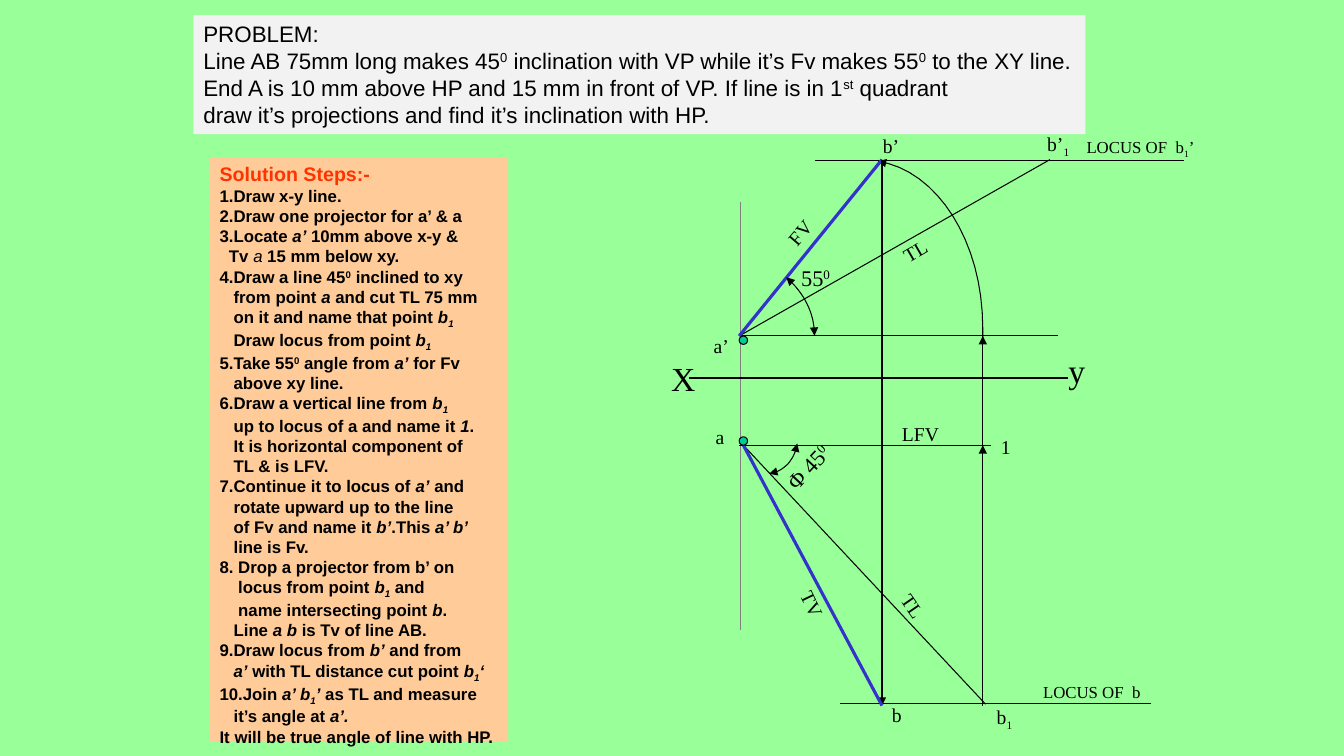
"""Build the slide on projections of line AB with its solution steps."""
from lxml import etree
from pptx import Presentation, util as u
from pptx.dml import color
from pptx.enum import shapes, text
from pptx.oxml import ns


def paint(hue):
    return color.RGBColor.from_string(hue)


def write(frame, line, size=14, font="Times New Roman", hue="000000", bold=False, indent=0):
    """Add a paragraph; ^ raises, _ lowers, * slants and ~ lightens what it encloses."""
    frame.word_wrap = False
    frame.vertical_anchor = text.MSO_ANCHOR.TOP
    paragraph = frame.add_paragraph() if frame.text else frame.paragraphs[0]
    paragraph.alignment = text.PP_ALIGN.LEFT
    if indent:
        paragraph._p.get_or_add_pPr().set("marL", str(u.Pt(indent)))
    for mark in "^_*~":
        line = line.replace(mark, f"|{mark}|")
    active = set()
    for piece in filter(None, line.split("|")):
        if piece in "^_*~":
            active ^= {piece}
            continue
        run = paragraph.add_run()
        run.text = piece
        run.font.name, run.font.size = font, u.Pt(size)
        run.font.color.rgb = paint(hue)
        run.font.bold = bold and "~" not in active
        run.font.italic = "*" in active
        for mark, baseline in (("^", "30000"), ("_", "-25000")):
            if mark in active:
                run._r.get_or_add_rPr().set("baseline", baseline)


deck = Presentation()
deck.slide_width, deck.slide_height = u.Pt(960), u.Pt(540)
slide = deck.slides.add_slide(deck.slide_layouts[6])
slide.background.fill.solid()
slide.background.fill.fore_color.rgb = paint("99FF99")

black, blue, grey = "000000", "3333CC", "808080"
a_front, a_top = (528, 240), (531, 318)
b_front, b_top = (630, 114), (630, 504)
locus_front, locus_top = 114.5, 502.6
lfv_x = 702

strokes = [
    ([(529.2, 144), (529.2, 450)], grey, 0.75, ""),
    ([(492, 270), (763, 270)], black, 0.75, ""),
    ([a_front, (756, 240)], black, 0.75, ""),
    ([(528, 318), (708, 318)], black, 0.75, ""),
    ([(530, 317), (704, 503)], black, 0.75, ""),
    ([(569.5, 316.8), (568.8, 321.8), (566.6, 326.9), (563, 331.2),
      (559.4, 334.8), (555.1, 337.7), (549.4, 338.4)], black, 0.75, "head tail"),
    ([a_front, (750, 114)], black, 0.75, ""),
    ([(lfv_x, 318), (lfv_x, 504)], black, 0.75, "head"),
    ([(582, locus_front), (846, locus_front)], black, 0.75, ""),
    ([(600, locus_top), (822, locus_top)], black, 0.75, ""),
    ([(lfv_x, 330), (lfv_x, 240)], black, 0.75, "tail"),
    ([(627.1, 115.2), (669.6, 121.7), (lfv_x, 172.8), (lfv_x, 234),
      (lfv_x, 236.9), (lfv_x, 239.8), (lfv_x, 241.9)], black, 0.75, "head"),
    ([a_front, b_front], blue, 2.25, ""),
    ([(561.6, 198), (574.6, 209.5), (581.8, 223.9), (581.8, 239.8)], black, 0.75, "head tail"),
    ([b_front, b_top], black, 0.75, "tail"),
    ([b_top, a_top], blue, 2.25, ""),
]
for points, hue, width, arrows in strokes:
    if len(points) == 2:
        (x1, y1), (x2, y2) = points
        stroke = slide.shapes.add_connector(
            shapes.MSO_CONNECTOR.STRAIGHT, u.Pt(x1), u.Pt(y1), u.Pt(x2), u.Pt(y2))
    else:
        curve = []
        for start in range(0, len(points) - 1, 3):
            for step in range(1, 17):
                t = step / 16
                weights = ((1 - t) ** 3, 3 * t * (1 - t) ** 2, 3 * t * t * (1 - t), t ** 3)
                bend = points[start:start + 4]
                curve.append([u.Pt(sum(w * p[axis] for w, p in zip(weights, bend)))
                              for axis in (0, 1)])
        builder = slide.shapes.build_freeform(u.Pt(points[0][0]), u.Pt(points[0][1]))
        builder.add_line_segments(curve, close=False)
        stroke = builder.convert_to_shape()
        stroke.fill.background()
    stroke.line.color.rgb = paint(hue)
    stroke.line.width = u.Pt(width)
    for end in arrows.split():
        etree.SubElement(stroke.line._get_or_add_ln(), ns.qn(f"a:{end}End"), type="triangle")
    etree.SubElement(stroke._element.spPr, ns.qn("a:effectLst"))

for top in (240, 312):
    point = slide.shapes.add_shape(
        shapes.MSO_SHAPE.OVAL, u.Pt(528), u.Pt(top), u.Pt(6), u.Pt(6))
    point.shadow.inherit = False
    point.fill.solid()
    point.fill.fore_color.rgb = paint("00CC99")
    point.line.color.rgb = paint(black)
    point.line.width = u.Pt(0.75)

labels = [
    ("X", 472.3, 252, 31.7, 36, 24, 0),
    ("y", 756, 246.2, 26.6, 36, 24, 0),
    ("a", 504, 300, 20.9, 24, 14, 0),
    ("a’", 502.6, 234.7, 25.2, 24, 14, 0),
    ("b_1_", 704.9, 499.7, 25.9, 24.5, 14, 0),
    ("Φ 45^0^", 551.5, 319.7, 52.6, 26.6, 16, 313),
    ("TL", 636.5, 421.2, 31.7, 24, 14, 55.4),
    ("1", 707.8, 307.4, 21.6, 24, 14, 0),
    ("b’_1_", 740.9, 90.7, 31, 24.5, 14, 0),
    ("b’", 623.5, 92.2, 25.9, 24, 14, 0),
    ("LFV", 637.2, 298.1, 41, 24, 14, 0),
    ("FV", 555.1, 154.1, 32.4, 24, 14, 310.6),
    ("TL", 637.9, 167, 31.7, 24, 14, 329.9),
    ("55^0^", 565.2, 185, 36, 26.6, 16, 0),
    ("b", 630, 498.2, 21.6, 24, 14, 0),
    ("TV", 563.8, 419.8, 33.1, 24, 14, 64.2),
    ("LOCUS OF  b", 738, 483.1, 84.2, 21.6, 12, 0),
    ("LOCUS OF  b_1_’", 769, 94.3, 92.2, 21.6, 12, 0),
]
for words, left, top, width, height, size, turn in labels:
    label = slide.shapes.add_textbox(u.Pt(left), u.Pt(top), u.Pt(width), u.Pt(height))
    label.rotation = turn
    write(label.text_frame, words, size=size)

problem = [
    "PROBLEM:",
    "Line AB 75mm long makes 45^0^ inclination with VP while it’s Fv makes 55^0^ to the XY line.",
    "End A is 10 mm above HP and 15 mm in front of VP. If line is in 1^st^ quadrant",
    "draw it’s projections and find it’s inclination with HP.",
]
steps = [
    (0, "1.Draw x-y line."),
    (0, "2.Draw one projector for a’ & a"),
    (0, "3.Locate *a’* 10mm above x-y &"),
    (6.7, "Tv ~*a*~ 15 mm below xy."),
    (0, "4.Draw a line 45^0^ inclined to xy"),
    (10, "from point *a* and cut TL 75 mm"),
    (10, "on it and name that point *b_1_*"),
    (10, "Draw locus from point *b_1_*"),
    (0, "5.Take 55^0^ angle from *a’* for Fv"),
    (10, "above xy line."),
    (0, "6.Draw a vertical line from *b_1_*"),
    (10, "up to locus of a and name it *1*."),
    (10, "It is horizontal component of"),
    (10, "TL & is LFV."),
    (0, "7.Continue it to locus of *a’* and"),
    (10, "rotate upward up to the line"),
    (10, "of Fv and name it *b’*.This *a’ b’*"),
    (10, "line is Fv."),
    (0, "8. Drop a projector from b’ on"),
    (13.3, "locus from point *b_1_* and"),
    (13.3, "name intersecting point *b*."),
    (10, "Line *a b* is Tv of line AB."),
    (0, "9.Draw locus from *b’* and from"),
    (10, "*a’* with TL distance cut point *b_1_‘*"),
    (0, "10.Join *a’ b_1_’* as TL and measure"),
    (10, "it’s angle at *a’.*"),
    (0, "It will be true angle of line with HP."),
]
frames = []
for left, top, width, height, hue in ((138.2, 10.8, 637.2, 85, "F2F2F2"),
                                      (149.8, 112.3, 213.1, 416.9, "FFCC99")):
    panel = slide.shapes.add_shape(
        shapes.MSO_SHAPE.RECTANGLE, u.Pt(left), u.Pt(top), u.Pt(width), u.Pt(height))
    panel.shadow.inherit = False
    panel.fill.solid()
    panel.fill.fore_color.rgb = paint(hue)
    panel.line.fill.background()
    frames.append(panel.text_frame)
problem_frame, steps_frame = frames

for line in problem:
    write(problem_frame, line, size=16, font="Arial")
write(steps_frame, "Solution Steps:-", font="Arial", hue="FF3300", bold=True)
for indent, line in steps:
    write(steps_frame, line, size=12, font="Arial", bold=True, indent=indent)

deck.save("out.pptx")
